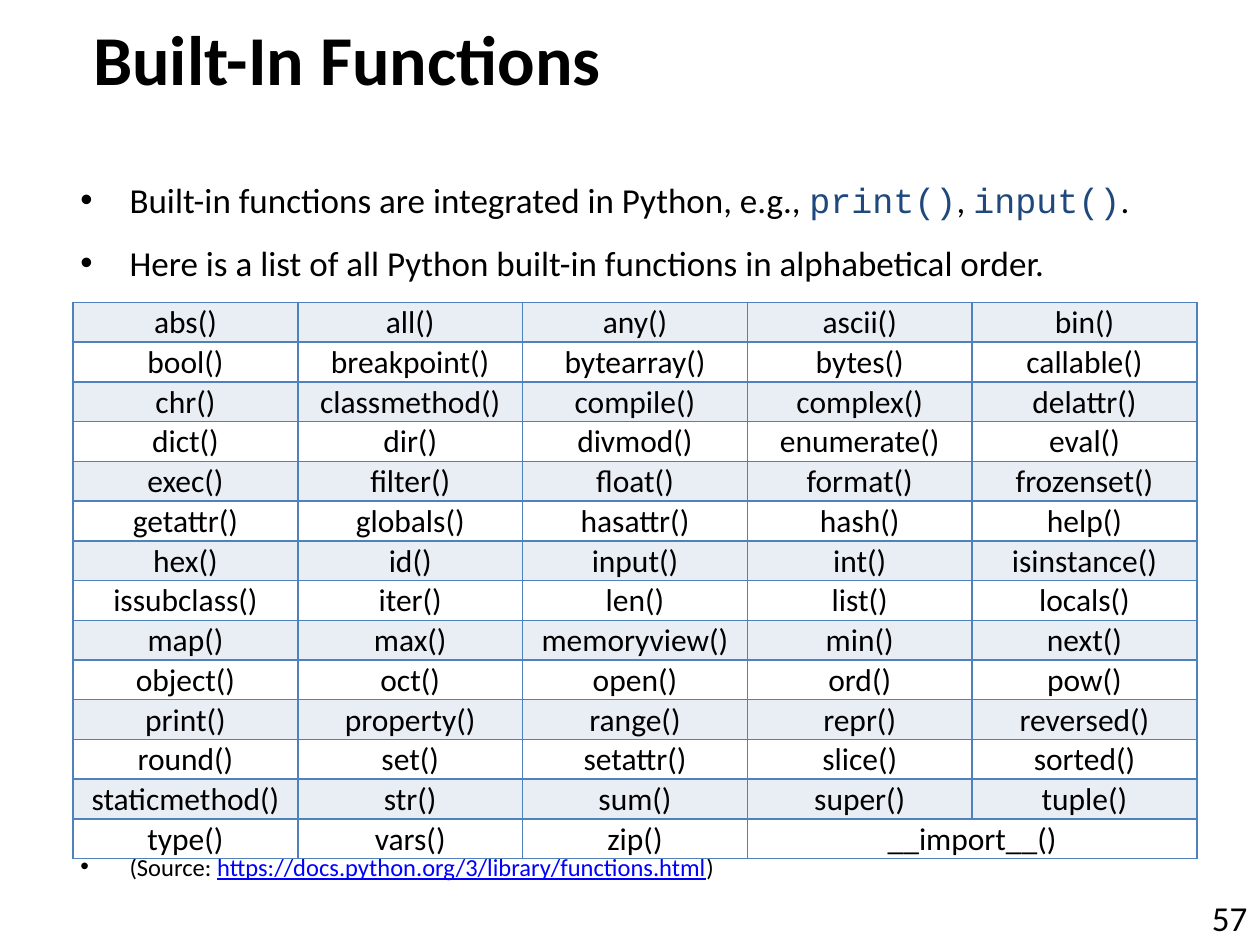
from dataclasses import dataclass

from lxml import etree
from pptx import Presentation
from pptx.dml.color import RGBColor
from pptx.enum.text import MSO_ANCHOR, MSO_AUTO_SIZE, PP_ALIGN
from pptx.oxml.ns import qn
from pptx.util import Inches, Pt

LEFT, CENTER, RIGHT = PP_ALIGN.LEFT, PP_ALIGN.CENTER, PP_ALIGN.RIGHT
TOP, MIDDLE, BOTTOM = MSO_ANCHOR.TOP, MSO_ANCHOR.MIDDLE, MSO_ANCHOR.BOTTOM
NO_FIT = MSO_AUTO_SIZE.NONE


@dataclass(frozen=True)
class Theme:
    font: str = "Calibri"
    code_font: str = "Courier New"
    text: str = "000000"
    code: str = "1F497D"
    link: str = "0000FF"
    border: str = "4F81BD"
    bands: tuple = ("E9EDF4", "FFFFFF")
    title_size: int = 40
    body_size: int = 20
    cell_size: int = 18
    source_size: int = 14


THEME = Theme()
COLUMNS = 5
FUNCTIONS = """
abs() all() any() ascii() bin()
bool() breakpoint() bytearray() bytes() callable()
chr() classmethod() compile() complex() delattr()
dict() dir() divmod() enumerate() eval()
exec() filter() float() format() frozenset()
getattr() globals() hasattr() hash() help()
hex() id() input() int() isinstance()
issubclass() iter() len() list() locals()
map() max() memoryview() min() next()
object() oct() open() ord() pow()
print() property() range() repr() reversed()
round() set() setattr() slice() sorted()
staticmethod() str() sum() super() tuple()
type() vars() zip() __import__()
""".split()


def add_run(p, text, size, color=THEME.text, font=THEME.font, bold=False, underline=False):
    r = p.add_run()
    r.text = text
    r.font.size = Pt(size)
    r.font.name = font
    r.font.bold = bold
    r.font.underline = underline
    r.font.color.rgb = RGBColor.from_string(color)


def set_frame(tf, anchor):
    tf.word_wrap = True
    tf.auto_size = NO_FIT
    tf.vertical_anchor = anchor


def add_text_frame(slide, box, anchor=TOP):
    tf = slide.shapes.add_textbox(*box).text_frame
    set_frame(tf, anchor)
    return tf


def set_bullet(p):
    pPr = p._p.get_or_add_pPr()
    pPr.set("marL", str(Inches(0.39)))
    pPr.set("indent", str(-Inches(0.39)))
    etree.SubElement(pPr, qn("a:buFont")).set("typeface", "Arial")
    etree.SubElement(pPr, qn("a:buChar")).set("char", "•")


def add_title(slide, box, text):
    title = slide.shapes.title
    title.left, title.top, title.width, title.height = box
    set_frame(title.text_frame, MIDDLE)
    p = title.text_frame.paragraphs[0]
    p.alignment = LEFT
    add_run(p, text, THEME.title_size, bold=True)


def add_intro(slide, box):
    tf = add_text_frame(slide, box)
    code = {"color": THEME.code, "font": THEME.code_font}
    p = tf.paragraphs[0]
    set_bullet(p)
    for text, style in (
        ("Built-in functions are integrated in Python, e.g., ", {}),
        ("print()", code),
        (", ", {}),
        ("input()", code),
        (".", {}),
    ):
        add_run(p, text, THEME.body_size, **style)
    p = tf.add_paragraph()
    set_bullet(p)
    p.space_before = Pt(12)
    add_run(p, "Here is a list of all Python built-in functions in alphabetical order.",
            THEME.body_size)


def add_source(slide, box):
    p = add_text_frame(slide, box).paragraphs[0]
    set_bullet(p)
    add_run(p, "(Source: ", THEME.source_size)
    add_run(p, "https://docs.python.org/3/library/functions.html", THEME.source_size,
            color=THEME.link, underline=True)
    add_run(p, ")", THEME.source_size)


def set_borders(cell):
    tcPr = cell._tc.get_or_add_tcPr()
    for i, side in enumerate(("lnL", "lnR", "lnT", "lnB")):
        ln = etree.Element(qn(f"a:{side}"), w=str(Pt(1)))
        fill = etree.SubElement(ln, qn("a:solidFill"))
        etree.SubElement(fill, qn("a:srgbClr")).set("val", THEME.border)
        tcPr.insert(i, ln)


def format_cell(cell, band):
    cell.fill.solid()
    cell.fill.fore_color.rgb = RGBColor.from_string(band)
    cell.margin_left = cell.margin_right = cell.margin_top = Inches(0.01)
    cell.margin_bottom = 0
    cell.vertical_anchor = MIDDLE
    set_borders(cell)


def add_function_table(slide, box, names):
    left, top, width, height = box
    rows = -(-len(names) // COLUMNS)
    table = slide.shapes.add_table(rows, COLUMNS, left, top, width, height).table
    for row in range(rows):
        table.rows[row].height = height // rows
        for col in range(COLUMNS):
            format_cell(table.cell(row, col), THEME.bands[row % 2])
    for i, name in enumerate(names):
        p = table.cell(*divmod(i, COLUMNS)).text_frame.paragraphs[0]
        p.alignment = CENTER
        add_run(p, name, THEME.cell_size)
    last_row, last_col = divmod(len(names) - 1, COLUMNS)
    if last_col < COLUMNS - 1:
        table.cell(last_row, last_col).merge(table.cell(last_row, COLUMNS - 1))


def add_page_number(slide, box, number):
    p = add_text_frame(slide, box, BOTTOM).paragraphs[0]
    p.alignment = RIGHT
    add_run(p, str(number), THEME.body_size)


def inch_box(*lengths):
    return [Inches(n) for n in lengths]


def main():
    prs = Presentation()
    prs.slide_width, prs.slide_height = Inches(10), Inches(7.5)
    slide = prs.slides.add_slide(prs.slide_layouts[5])
    add_page_number(slide, inch_box(8.63, 6.96, 1.37, 0.54), 57)
    add_title(slide, inch_box(0.64, 0, 8.86, 0.92), "Built-In Functions")
    add_intro(slide, inch_box(0.54, 1.37, 9.26, 1))
    add_source(slide, inch_box(0.54, 6.71, 8, 0.34))
    add_function_table(slide, inch_box(0.58, 2.4, 8.92, 4.41), FUNCTIONS)
    prs.save("out.pptx")


if __name__ == "__main__":
    main()
